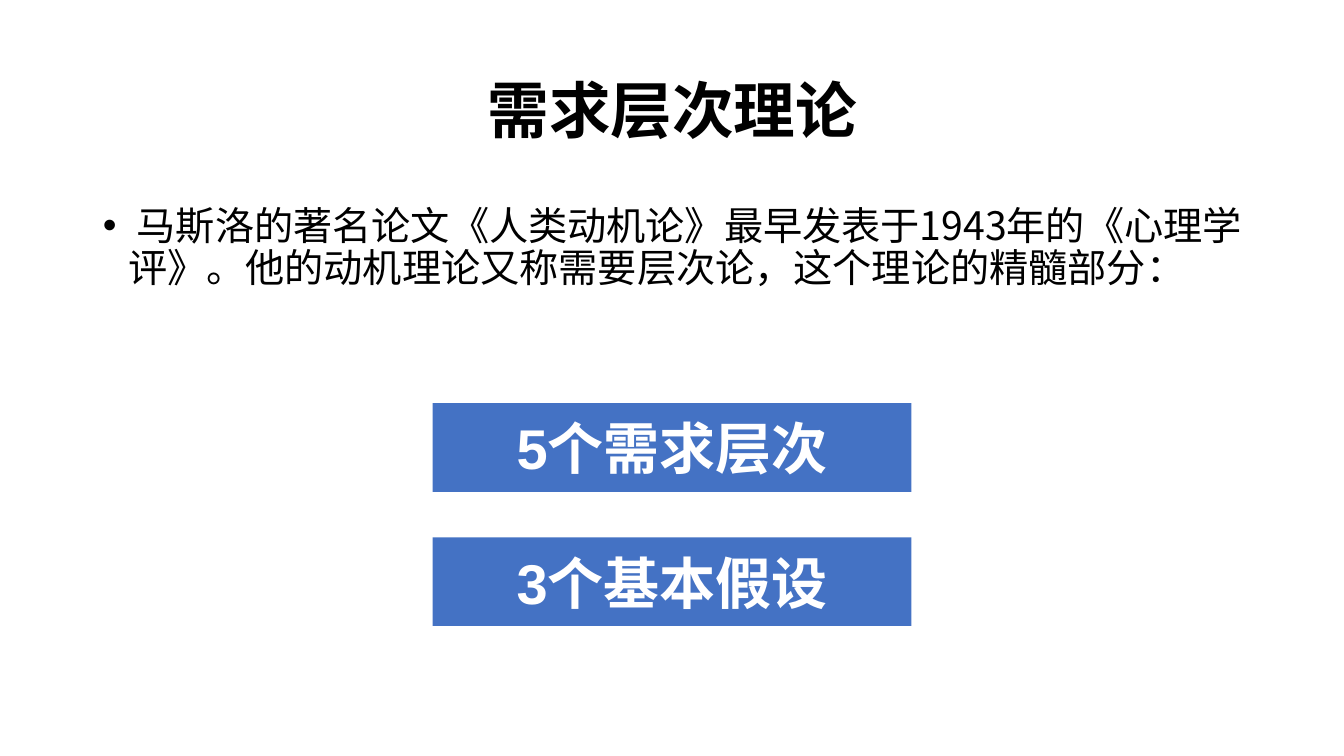
from dataclasses import dataclass

from lxml.etree import SubElement
from pptx import Presentation
from pptx.dml.color import RGBColor
from pptx.enum.shapes import MSO_SHAPE
from pptx.enum.text import MSO_ANCHOR, MSO_AUTO_SIZE, PP_ALIGN
from pptx.oxml.ns import qn
from pptx.slide import Slide
from pptx.text.text import _Paragraph as Paragraph
from pptx.util import Inches, Pt

BLACK = RGBColor(0x00, 0x00, 0x00)
WHITE = RGBColor(0xFF, 0xFF, 0xFF)
BLUE = RGBColor(0x44, 0x72, 0xC4)
CHINESE_FONT = "Noto Sans CJK SC"
LATIN_FONT = "Arial"

CONTENT_LEFT, CONTENT_WIDTH = 0.92, 11.5
BANNER_LEFT, BANNER_WIDTH, BANNER_HEIGHT = 4.29, 4.75, 0.88
BANNER_TOP, BANNER_STEP = 4.0, 1.33


@dataclass(frozen=True)
class TextStyle:
    size: int
    color: RGBColor
    bold: bool
    font_name: str = CHINESE_FONT


TITLE_STYLE = TextStyle(44, BLACK, True)
BODY_STYLE = TextStyle(28, BLACK, False)
BANNER_STYLE = TextStyle(40, WHITE, True, LATIN_FONT)


def style_paragraph(paragraph: Paragraph, style: TextStyle) -> None:
    font = paragraph.font
    font.size = Pt(style.size)
    font.bold = style.bold
    font.color.rgb = style.color
    font.name = style.font_name
    # East Asian characters take their own typeface
    properties = paragraph._p.get_or_add_pPr().find(qn("a:defRPr"))
    SubElement(properties, qn("a:ea")).set("typeface", CHINESE_FONT)


def set_hanging_indent(paragraph: Paragraph, indent: float) -> None:
    properties = paragraph._p.get_or_add_pPr()
    properties.set("marL", str(Inches(indent)))
    properties.set("indent", str(-Inches(indent)))


def fill_placeholder(slide: Slide, index: int, top: float, height: float,
                     text: str, style: TextStyle) -> Paragraph:
    placeholder = slide.placeholders[index]
    placeholder.left, placeholder.top = Inches(CONTENT_LEFT), Inches(top)
    placeholder.width, placeholder.height = Inches(CONTENT_WIDTH), Inches(height)
    text_frame = placeholder.text_frame
    text_frame.text = text
    text_frame.auto_size = MSO_AUTO_SIZE.NONE
    paragraph = text_frame.paragraphs[0]
    paragraph.line_spacing = 0.9
    style_paragraph(paragraph, style)
    return paragraph


def add_banner(slide: Slide, top: float, text: str) -> None:
    banner = slide.shapes.add_shape(
        MSO_SHAPE.RECTANGLE, Inches(BANNER_LEFT), Inches(top),
        Inches(BANNER_WIDTH), Inches(BANNER_HEIGHT))
    banner.shadow.inherit = False
    banner.fill.solid()
    banner.fill.fore_color.rgb = BLUE
    banner.line.fill.background()
    text_frame = banner.text_frame
    text_frame.text = text
    text_frame.vertical_anchor = MSO_ANCHOR.MIDDLE
    paragraph = text_frame.paragraphs[0]
    paragraph.alignment = PP_ALIGN.CENTER
    paragraph.space_before = Pt(8)
    set_hanging_indent(paragraph, 0.54)
    style_paragraph(paragraph, BANNER_STYLE)


def main() -> None:
    presentation = Presentation()
    presentation.slide_width = Inches(13.33)
    presentation.slide_height = Inches(7.5)
    slide = presentation.slides.add_slide(presentation.slide_layouts[1])

    # Title
    title = fill_placeholder(slide, 0, 0.4, 1.45, "需求层次理论", TITLE_STYLE)
    title.alignment = PP_ALIGN.CENTER

    # Introduction
    introduction = fill_placeholder(
        slide, 1, 2, 4.76,
        " 马斯洛的著名论文《人类动机论》最早发表于1943年的《心理学评》。"
        "他的动机理论又称需要层次论，这个理论的精髓部分：", BODY_STYLE)
    introduction.space_before = Pt(10)
    set_hanging_indent(introduction, 0.25)

    # Core parts of the theory
    for row, text in enumerate(("5个需求层次", "3个基本假设")):
        add_banner(slide, BANNER_TOP + row * BANNER_STEP, text)

    presentation.save("out.pptx")


if __name__ == "__main__":
    main()
